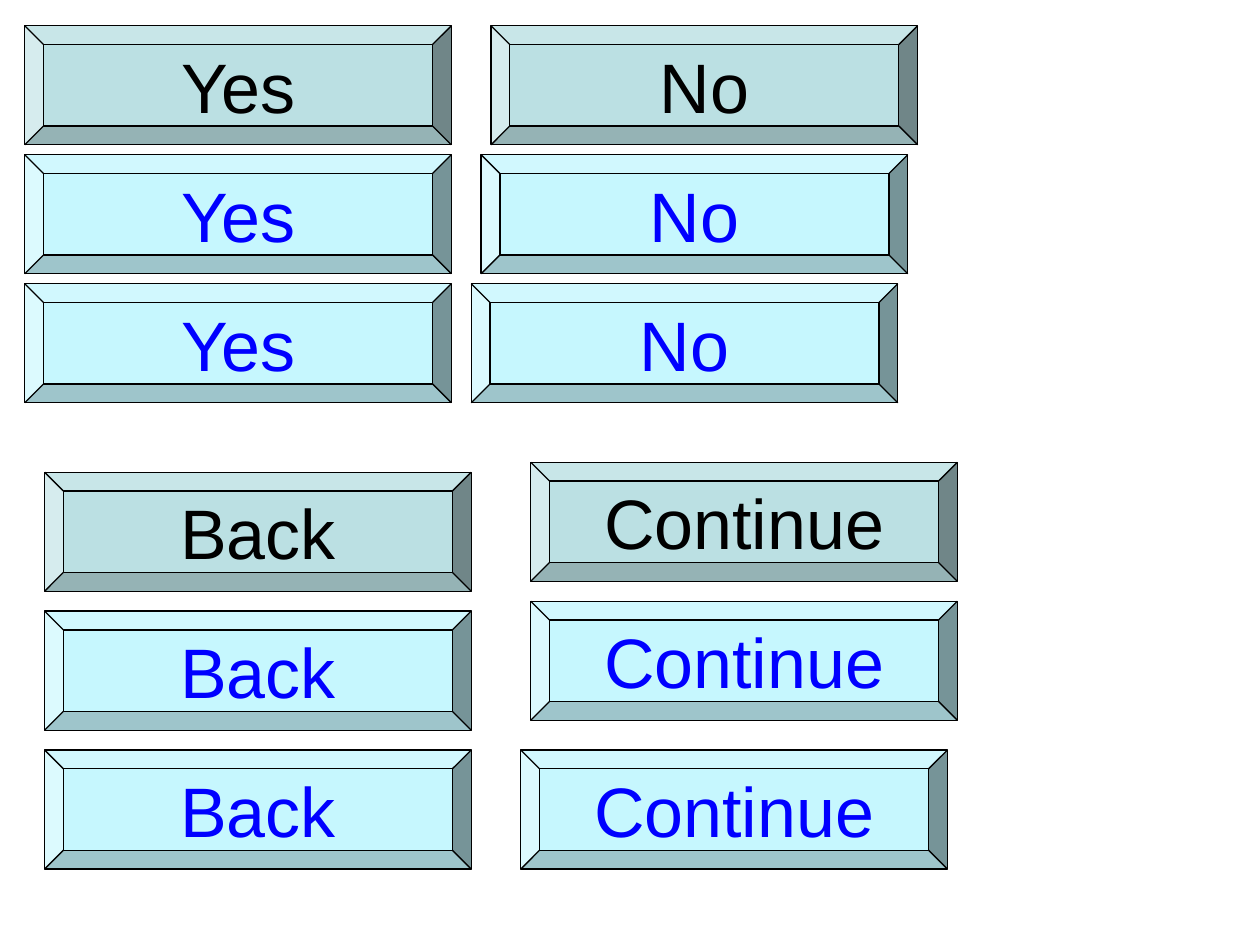
import pptx
import pptx.dml.color
import pptx.enum.shapes
import pptx.enum.text
import pptx.util

Cm = pptx.util.Cm
BUTTON_WIDTH = 8.6
BUTTON_HEIGHT = 2.4
BEVEL_DEPTH = 0.38

# Fill and text colour of the three rows in every group: idle, then two active.
ROW_COLORS = [("BBE0E3", "000000"), ("C6F7FE", "0000FF"), ("C6F7FE", "0000FF")]

# Label, left edges and top edges of each column of buttons, in centimetres.
BUTTON_COLUMNS = [
    ("Yes", [0.5, 0.5, 0.5], [0.52, 3.12, 5.72]),
    ("No", [9.9, 9.7, 9.5], [0.52, 3.12, 5.72]),
    ("Back", [0.9, 0.9, 0.9], [9.52, 12.32, 15.12]),
    ("Continue", [10.7, 10.7, 10.5], [9.32, 12.12, 15.12]),
]


def set_color(color_format, hex_color):
    color_format.rgb = pptx.dml.color.RGBColor.from_string(hex_color)


presentation = pptx.Presentation()
presentation.slide_width = Cm(25.4)
presentation.slide_height = Cm(19.05)
slide = presentation.slides.add_slide(presentation.slide_layouts[6])

for label, lefts, tops in BUTTON_COLUMNS:
    for left, top, (fill_color, text_color) in zip(lefts, tops, ROW_COLORS):
        button = slide.shapes.add_shape(
            pptx.enum.shapes.MSO_SHAPE.BEVEL,
            Cm(left), Cm(top), Cm(BUTTON_WIDTH), Cm(BUTTON_HEIGHT),
        )
        button.adjustments[0] = BEVEL_DEPTH / BUTTON_HEIGHT
        button.shadow.inherit = False
        button.fill.solid()
        set_color(button.fill.fore_color, fill_color)
        set_color(button.line.color, "000000")
        button.line.width = pptx.util.Pt(0.75)

        text_frame = button.text_frame
        text_frame.word_wrap = False
        text_frame.vertical_anchor = pptx.enum.text.MSO_ANCHOR.MIDDLE
        paragraph = text_frame.paragraphs[0]
        paragraph.alignment = pptx.enum.text.PP_ALIGN.CENTER
        run = paragraph.add_run()
        run.text = label
        run.font.name = "Arial"
        run.font.size = pptx.util.Pt(40)
        set_color(run.font.color, text_color)

presentation.save("out.pptx")
